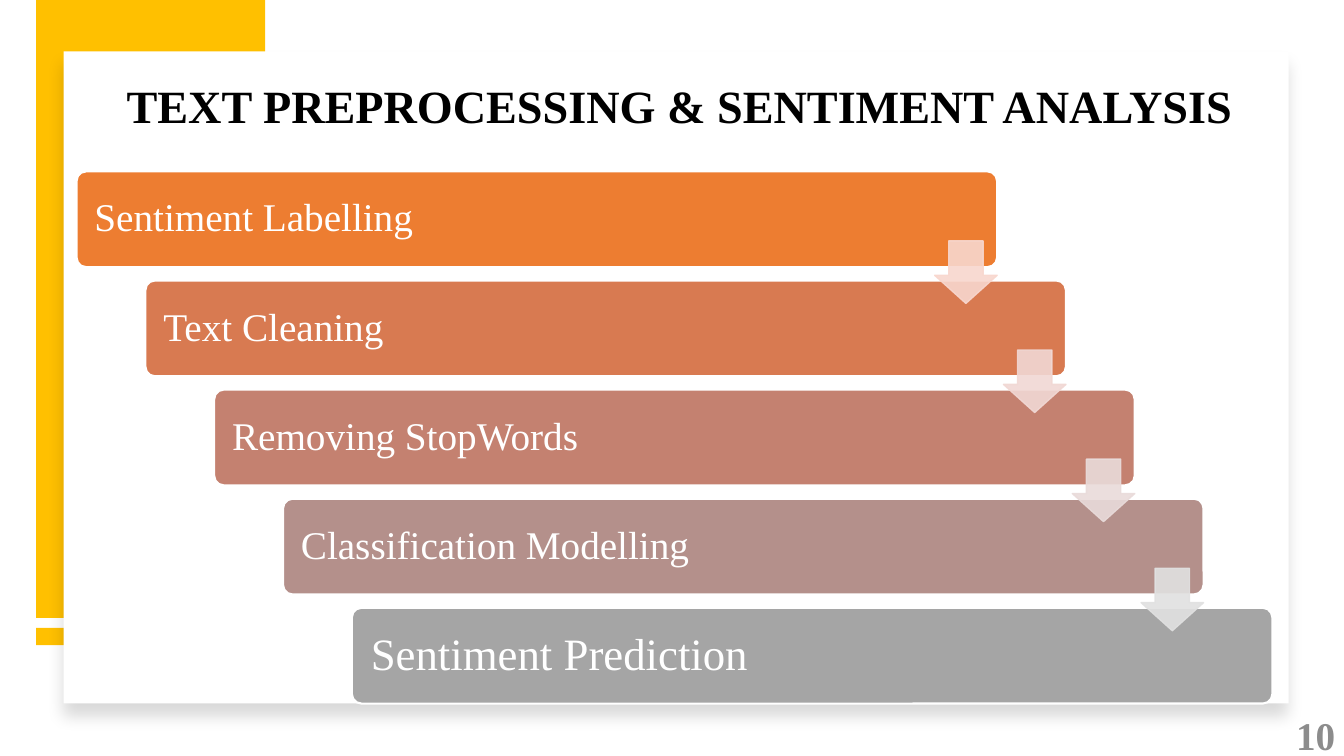
from lxml import etree
from pptx import Presentation
from pptx import util as u
from pptx.dml.color import RGBColor
from pptx.enum import shapes, text
from pptx.oxml import ns

Inches, Pt = u.Inches, u.Pt
SHAPE, ANCHOR, ALIGN = shapes.MSO_SHAPE, text.MSO_ANCHOR, text.PP_ALIGN
FONT = "Times New Roman"
COLORS = {"gold": "FFC000", "white": "FFFFFF", "black": "000000", "number": "8C8C8C"}

# Label, bar colour, colour of the arrow to the next step
STEPS = [
    ("Sentiment Labelling", "ED7D31", "F8D7CE"),
    ("Text Cleaning", "D87A51", "F1D8D4"),
    ("Removing StopWords", "C48170", "E9DBDA"),
    ("Classification Modelling", "B4908B", "E1E1E1"),
    ("Sentiment Prediction", "A5A5A5", None),
]


def rgb(value):
    return RGBColor.from_string(value)


def add_alpha(color, percent):
    alpha = etree.SubElement(color, ns.qn("a:alpha"))
    alpha.set("val", str(percent * 1000))


def add_box(s, kind, box, fill, line=None, width=1):
    sp = s.shapes.add_shape(kind, *map(Inches, box))
    sp.shadow.inherit = False
    sp.fill.solid()
    sp.fill.fore_color.rgb = rgb(fill)
    if line:
        sp.line.color.rgb = rgb(line)
        sp.line.width = Pt(width)
    else:
        sp.line.fill.background()
    return sp


def write(sp, words, size, color, align=ALIGN.LEFT, bold=False):
    tf = sp.text_frame
    tf.word_wrap = True
    tf.vertical_anchor = ANCHOR.MIDDLE
    p = tf.paragraphs[0]
    p.alignment = align
    r = p.add_run()
    r.text = words
    r.font.name, r.font.size, r.font.bold = FONT, Pt(size), bold
    r.font.color.rgb = rgb(color)
    return tf


def add_text(s, box, *args, **kwargs):
    return write(s.shapes.add_textbox(*map(Inches, box)), *args, **kwargs)


def add_frame(s, x, y, w, h):
    """Gold corner behind a white card with a soft shadow."""
    gold_x = x - 0.27
    add_box(s, SHAPE.RECTANGLE, (gold_x, 6.23, 2.27, 0.17), COLORS["gold"])
    add_box(s, SHAPE.RECTANGLE, (gold_x, 0, 2.27, 6.13), COLORS["gold"])
    card = add_box(s, SHAPE.RECTANGLE, (x, y, w, h), COLORS["white"])
    effects = card.fill._xPr.find(ns.qn("a:effectLst"))
    shadow = etree.SubElement(effects, ns.qn("a:outerShdw"), blurRad=str(Pt(11)),
                              dist=str(Pt(10)), dir="5400000", algn="t", rotWithShape="0")
    color = etree.SubElement(shadow, ns.qn("a:srgbClr"), val=COLORS["black"])
    add_alpha(color, 15)


def add_title(s, x, y, w, h):
    tf = add_text(s, (x, y, w, h), "TEXT PREPROCESSING & SENTIMENT ANALYSIS", 33,
                  COLORS["black"], ALIGN.CENTER, True)
    tf.margin_left = Inches(0.24)
    tf.paragraphs[0].line_spacing = 0.9


def add_staircase(s, x, y, w, h):
    """Bars stepping down to the right, joined by arrows."""
    bar_w, bar_h, arrow = 9.13, 0.95, 0.62
    last = len(STEPS) - 1
    dx, dy = (w - bar_w) / last, (h - bar_h) / last

    # Bars
    for i, (label, fill, _) in enumerate(STEPS):
        bar = add_box(s, SHAPE.ROUNDED_RECTANGLE, (x + i * dx, y + i * dy, bar_w, bar_h),
                      fill, COLORS["white"], 1.5)
        bar.adjustments[0] = 0.1
        tf = write(bar, label, 32 if i == last else 28, COLORS["white"])
        tf.margin_left = Inches(0.16 if i == last else 0.15)
        tf.paragraphs[0].line_spacing = 0.9

    # Arrows
    for i, (_, _, fill) in enumerate(STEPS[:last]):
        sp = add_box(s, SHAPE.DOWN_ARROW,
                     (x + i * dx + bar_w - arrow, y + i * dy + 0.69, arrow, arrow), fill, fill)
        sp.adjustments[0], sp.adjustments[1] = 0.55, 0.45
        for color in sp.fill._xPr.iter(ns.qn("a:srgbClr")):
            add_alpha(color, 90)


def add_number(s, x, y, w, h):
    add_text(s, (x, y, w, h), "10", 28, COLORS["number"], ALIGN.RIGHT, True)


def main():
    prs = Presentation()
    prs.slide_width, prs.slide_height = Inches(13.33), Inches(7.5)
    s = prs.slides.add_slide(prs.slide_layouts[6])
    add_frame(s, 0.63, 0.51, 12.15, 6.47)
    add_title(s, 0.92, 0.35, 11.5, 1.45)
    add_staircase(s, 0.76, 1.7, 11.86, 5.28)
    add_number(s, 12.62, 7.09, 0.72, 0.4)
    prs.save("out.pptx")


if __name__ == "__main__":
    main()
